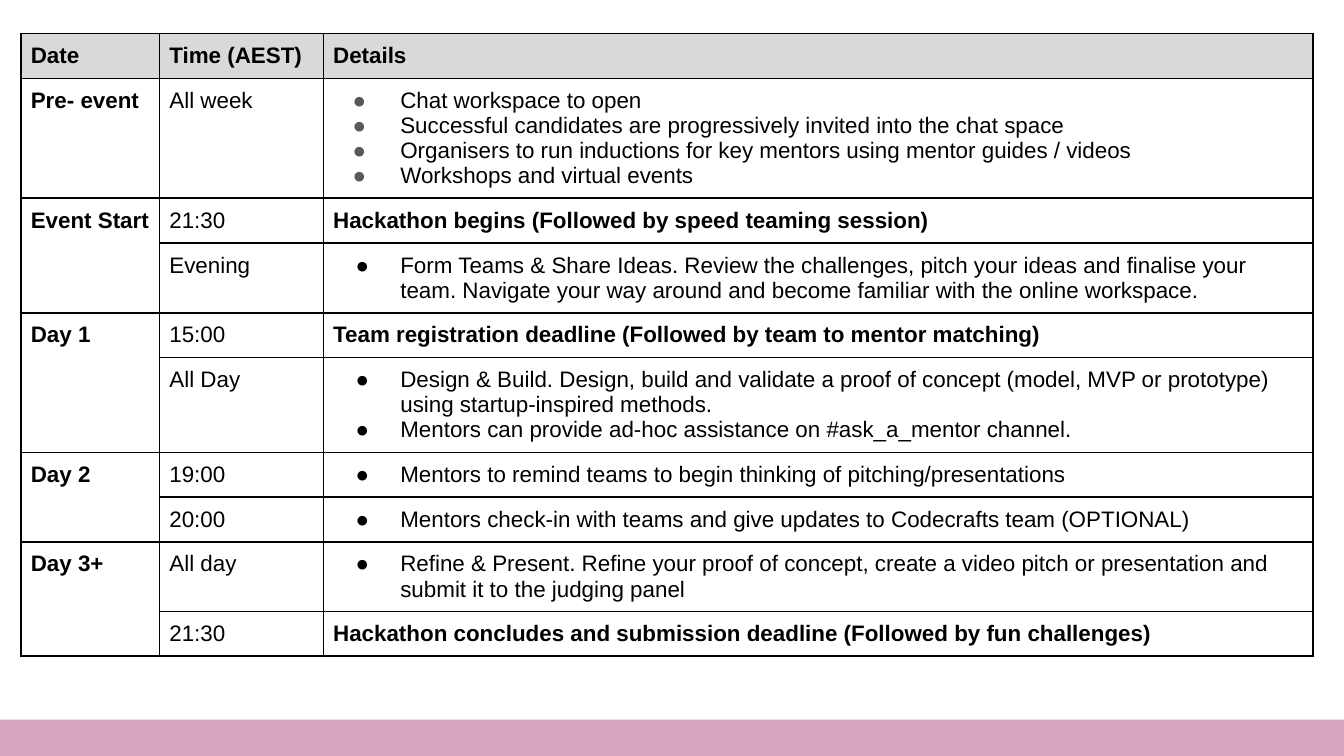
from pptx import Presentation
from pptx.dml.color import RGBColor
from pptx.enum.shapes import MSO_SHAPE
from pptx.enum.text import PP_ALIGN
from pptx.oxml import parse_xml
from pptx.oxml.ns import nsdecls
from pptx.util import Pt

PX = 9525
WIDTH, HEIGHT = 960, 540
BLACK = RGBColor(0x00, 0x00, 0x00)
GREY = RGBColor(0x59, 0x59, 0x59)
SILVER = RGBColor(0xD9, 0xD9, 0xD9)
PINK = RGBColor(0xD5, 0xA6, 0xBD)

INSET, LINE, HANG = 7, 18, 48
COLUMNS = [99, 117, 707]
HEADER = ["Date", "Time (AEST)", "Details"]

ROWS = [
    ("Pre- event", "All week", [
        "Chat workspace to open",
        "Successful candidates are progressively invited into the chat space",
        "Organisers to run inductions for key mentors using mentor guides / videos",
        "Workshops and virtual events"], 4),
    ("Event Start", "21:30", "Hackathon begins (Followed by speed teaming session)", 1),
    ("", "Evening", [
        "Form Teams & Share Ideas. Review the challenges, pitch your ideas and finalise your "
        "team. Navigate your way around and become familiar with the online workspace."], 2),
    ("Day 1", "15:00", "Team registration deadline (Followed by team to mentor matching)", 1),
    ("", "All Day", [
        "Design & Build. Design, build and validate a proof of concept (model, MVP or prototype) "
        "using startup-inspired methods.",
        "Mentors can provide ad-hoc assistance on #ask_a_mentor channel."], 3),
    ("Day 2", "19:00", [
        "Mentors to remind teams to begin thinking of pitching/presentations"], 1),
    ("", "20:00", [
        "Mentors check-in with teams and give updates to Codecrafts team (OPTIONAL)"], 1),
    ("Day 3+", "All day", [
        "Refine & Present. Refine your proof of concept, create a video pitch or presentation and "
        "submit it to the judging panel"], 2),
    ("", "21:30", "Hackathon concludes and submission deadline (Followed by fun challenges)", 1),
]


def add_bullet(p, colour, indent):
    pPr = p._p.get_or_add_pPr()
    pPr.set("marL", str(HANG * PX))
    pPr.set("indent", str(-indent * PX))
    for xml in (f'<a:buClr {nsdecls("a")}><a:srgbClr val="{colour}"/></a:buClr>',
                f'<a:buFont {nsdecls("a")} typeface="Arial"/>',
                f'<a:buChar {nsdecls("a")} char="●"/>'):
        pPr.append(parse_xml(xml))


def style_cell(cell, fill=None):
    margins = dict.fromkeys(
        ("margin_left", "margin_right", "margin_top", "margin_bottom"), INSET * PX)
    for name, value in margins.items():
        setattr(cell, name, value)
    tcPr = cell._tc.get_or_add_tcPr()
    for side in "LRTB":
        tcPr.append(parse_xml(
            f'<a:ln{side} {nsdecls("a")} w="{Pt(1)}"><a:solidFill>'
            f'<a:srgbClr val="{BLACK}"/></a:solidFill></a:ln{side}>'))
    if fill is None:
        cell.fill.background()
    else:
        cell.fill.solid()
        cell.fill.fore_color.rgb = fill


def write_cell(cell, text, bold=False, bullet=None):
    tf = cell.text_frame
    font = {"name": "Arial", "size": Pt(12), "bold": bold}
    for i, line in enumerate(text if isinstance(text, list) else [text]):
        p = tf.add_paragraph() if i else tf.paragraphs[0]
        p.alignment = PP_ALIGN.LEFT
        if bullet:
            add_bullet(p, *bullet)
        r = p.add_run()
        r.text = line
        for name, value in font.items():
            setattr(r.font, name, value)
        r.font.color.rgb = BLACK


def add_schedule(s, x, y):
    heights = [INSET * 2 - 1 + LINE * n for n in [1] + [row[3] for row in ROWS]]
    frame = s.shapes.add_table(len(heights), len(COLUMNS), x * PX, y * PX,
                               sum(COLUMNS) * PX, sum(heights) * PX)
    table = frame.table
    table.horz_banding = False
    for column, width in zip(table.columns, COLUMNS):
        column.width = width * PX
    for i, height in enumerate(heights):
        table.rows[i].height = height * PX
        for cell in table.rows[i].cells:
            style_cell(cell, None if i else SILVER)

    for c, title in enumerate(HEADER):
        write_cell(table.cell(0, c), title, bold=True)
    for i, (date, time, details, _) in enumerate(ROWS, start=1):
        if date:
            write_cell(table.cell(i, 0), date, bold=True)
        else:
            table.cell(i - 1, 0).merge(table.cell(i, 0))
        write_cell(table.cell(i, 1), time)
        bullet = (GREY, 34) if i == 1 else (BLACK, 32)
        heading = isinstance(details, str)
        write_cell(table.cell(i, 2), details, heading, None if heading else bullet)


def add_footer(s, x, y, w, h):
    sp = s.shapes.add_shape(MSO_SHAPE.RECTANGLE, x * PX, y * PX, w * PX, h * PX)
    sp.shadow.inherit = False
    sp.fill.solid()
    sp.fill.fore_color.rgb = PINK
    sp.line.fill.background()


def main():
    prs = Presentation()
    prs.slide_width, prs.slide_height = WIDTH * PX, HEIGHT * PX
    s = prs.slides.add_slide(prs.slide_layouts[6])
    add_footer(s, 0, 514, WIDTH, 26)
    add_schedule(s, 15, 24)
    prs.save("out.pptx")


if __name__ == "__main__":
    main()
